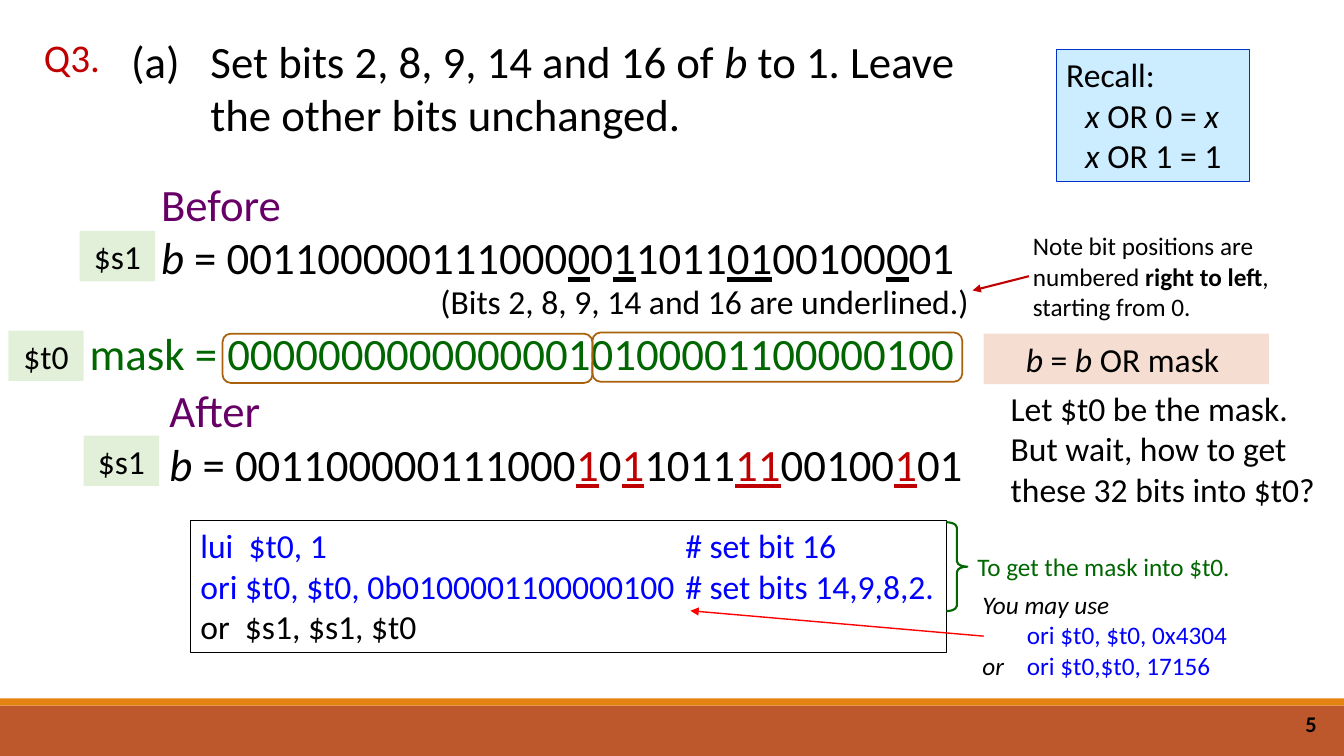
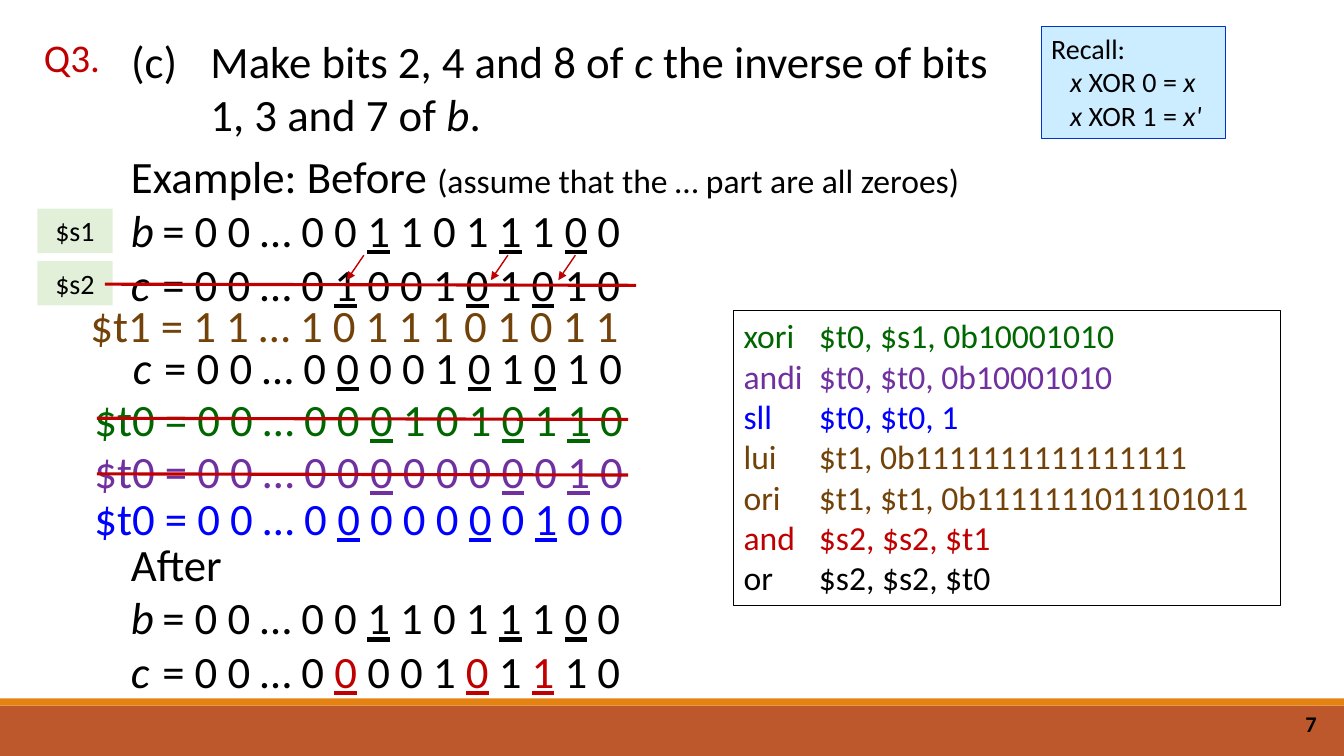
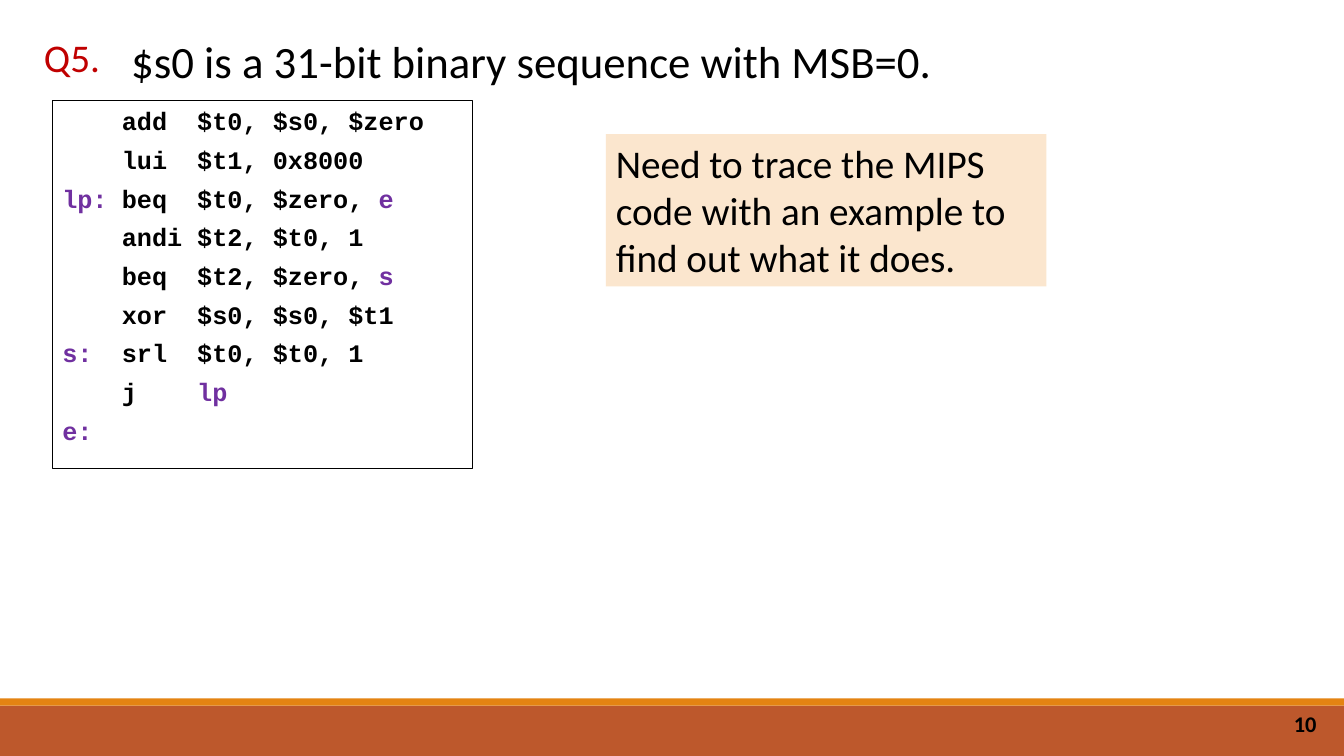
import lxml.etree
import pptx
import pptx.dml.color
import pptx.enum.shapes
import pptx.enum.text
import pptx.oxml.ns
import pptx.util

Cm = pptx.util.Cm
SHAPE = pptx.enum.shapes.MSO_SHAPE
ALIGN = pptx.enum.text.PP_ALIGN
ANCHOR = pptx.enum.text.MSO_ANCHOR


class Theme:
    """Colours, fonts, and the look of each kind of box."""
    colours = dict(
        black="000000", white="FFFFFF", red="C00000", bright="FF0000",
        plum="660066", purple="7030A0", green="006600", blue="0000FF",
        brown="724209", amber="A9610D", navy="0033CC", sky="CCECFF",
        mint="E2F0D9", peach="F5DDD2", cream="FBE6CE",
        footer="BD582C", stripe="E48312")
    font, mono = "Calibri", "Courier New"
    small_print = 24   # size of the text after a "|" mark
    styles = dict(
        title=dict(size=32),
        question=dict(size=28, colour="red", align="CENTER"),
        number=dict(size=16, bold=True, align="RIGHT", anchor="MIDDLE"),
        bits=dict(size=32),
        body=dict(size=24),
        note=dict(size=18, tabs=[1.12]),
        chip=dict(size=24, fill="mint", align="CENTER"),
        small_chip=dict(size=20, fill="mint", align="CENTER"),
        recall=dict(size=24, fill="sky", line="navy", tabs=[0.48]),
        small_recall=dict(size=20, fill="sky", line="navy", tabs=[0.48]),
        formula=dict(size=24, fill="peach", align="CENTER"),
        hint=dict(size=28, fill="cream"),
        code=dict(size=24, line="black"),
        mono=dict(size=18, line="black", fill="white", bold=True,
                  font=mono, after=6, tabs=[1.5, 3.4]))
    # Inline marks: font attribute to switch on, colour to apply
    marks = {"*": ("italic", None), "_": ("underline", None),
             "^": ("bold", None), "!": ("underline", "red"),
             "~": (None, "purple"), "`": (None, "blue")}


# A line of text is a string, or (colour, string). Boxes are
# (style, (left, top, width, height), lines[, tabs]), lengths in cm.
# Strokes are (start, end, colour, points, has arrowhead).
B_BITS = "*b*\t= 0 0 … 0 0 _1_ 1 0 1 _1_ 1 _0_ 0"
BITS_TAB = [0.79]

SLIDES = [
    dict(
        number="5", question="Q3.", hanging=2,
        title=((3.05, 0.71, 22.96, 3),
               "(a)\tSet bits 2, 8, 9, 14 and 16 of *b* to 1. "
               "Leave the other bits unchanged."),
        boxes=[
            ("bits", (3.81, 4.32, 24.05, 3), [
                ("plum", "Before"),
                "*b* = 001100000111000_0_0_1_1011_01_00100_0_01"]),
            ("body", (10.85, 6.96, 13.94, 1.27),
             ["(Bits 2, 8, 9, 14 and 16 are underlined.)"]),
            ("bits", (4.02, 9.53, 24.05, 3), [
                ("plum", "After"),
                "*b* = 001100000111000!1!0!1!1011!11!00100!1!01"]),
            ("bits", (2.01, 8.08, 22.5, 1.63),
             [("green", "mask = 00000000000000010100001100000100")]),
            ("formula", (24.79, 8.41, 7.19, 1.27), ["*b* = *b* OR mask "]),
            ("body", (25.22, 9.65, 8.64, 3.33), [
                "Let $t0 be the mask.",
                "But wait, how to get these 32 bits into $t0?"]),
            ("code", (4.8, 13.11, 19.05, 3.33), [
                ("blue", "lui  $t0, 1\t# set bit 16"),
                ("blue", "ori $t0, $t0, 0b0100001100000100\t"
                         "# set bits 14,9,8,2."),
                "or  $s1, $s1, $t0"], [12.22]),
            ("note", (24.38, 13.77, 7.11, 1.02),
             [("green", "To get the mask into $t0.")]),
            ("recall", (26.62, 1.24, 4.88, 3.33),
             ["Recall:", "\t*x* OR 0 = *x*", "\t*x* OR 1 = 1"]),
            ("note", (25.78, 5.69, 6.65, 2.57), [
                "Note bit positions are numbered ^right to left^, "
                "starting from 0."]),
            ("chip", (2.01, 5.82, 1.9, 1.27), ["$s1"]),
            ("chip", (2.11, 10.98, 1.9, 1.27), ["$s1"]),
            ("chip", (0.21, 8.33, 1.9, 1.27), ["$t0"]),
            ("note", (24.51, 14.73, 8.41, 2.57), [
                "*You may use*", ("blue", "\tori $t0, $t0, 0x4304"),
                "*or*\t`ori $t0,$t0, 17156`"])],
        outlines=[
            ("RIGHT_BRACE", (23.85, 13.16, 0.53, 2.24), "green", 1.5),
            ("ROUNDED_RECTANGLE", (5.61, 8.41, 9.32, 1.24), "amber", 1.25),
            ("ROUNDED_RECTANGLE", (14.93, 8.38, 9.32, 1.24), "amber", 1.25)],
        strokes=[((25.93, 6.96), (24.51, 7.32), "red", 1.5, True),
                 ((24.79, 16.03), (17.4, 15.39), "bright", 1, True)]),
    dict(
        number="7", question="Q3.", hanging=2,
        title=((3.05, 0.71, 22.25, 3),
               "(c)\tMake bits 2, 4 and 8 of *c* the inverse of bits "
               "1, 3 and 7 of *b*."),
        boxes=[
            ("small_chip", (0.94, 5.26, 1.9, 1.12), ["$s1"]),
            ("small_chip", (0.94, 6.58, 1.9, 1.12), ["$s2"]),
            ("bits", (3.05, 3.63, 23.6, 4.37), [
                "Example: Before |(assume that the … part are all zeroes)",
                B_BITS, "*c*\t= 0 0 … 0 _1_ 0 0 1 _0_ 1 _0_ 1 0"], BITS_TAB),
            ("bits", (3.05, 13.39, 14.2, 4.37), [
                "After", B_BITS,
                "*c*\t= 0 0 … 0 !0! 0 0 1 !0! 1 !1! 1 0"], BITS_TAB),
            ("small_recall", (26.24, 0.66, 4.65, 2.82),
             ["Recall:", "\t*x* XOR 0 = *x*", "\t*x* XOR 1 = *x'*"]),
            ("code", (18.49, 7.82, 13.79, 7.44), [
                ("green", "xori\t$t0, $s1, 0b10001010"),
                ("purple", "andi\t$t0, $t0, 0b10001010"),
                ("blue", "sll\t$t0, $t0, 1"),
                ("brown", "lui\t$t1, 0b1111111111111111"),
                ("brown", "ori\t$t1, $t1, 0b1111111011101011"),
                ("red", "and\t$s2, $s2, $t1"),
                "or\t$s2, $s2, $t0"], [1.9]),
            ("bits", (2.03, 7.37, 14.6, 1.63),
             [("brown", "$t1 = 1 1 … 1 0 1 1 1 0 1 0 1 1")]),
            ("bits", (3.1, 8.43, 14.43, 1.63),
             ["*c*\t= 0 0 … 0 _0_ 0 0 1 _0_ 1 _0_ 1 0"], BITS_TAB),
            ("bits", (2.13, 9.75, 14.43, 1.63),
             [("green", "$t0 = 0 0 … 0 0 _0_ 1 0 1 _0_ 1 _1_ 0")]),
            ("bits", (2.13, 11.05, 14.43, 1.63),
             [("purple", "$t0 = 0 0 … 0 0 _0_ 0 0 0 _0_ 0 _1_ 0")]),
            ("bits", (2.13, 12.24, 14.43, 1.63),
             [("blue", "$t0 = 0 0 … 0 _0_ 0 0 0 _0_ 0 _1_ 0 0")])],
        strokes=[((x, 6.43), (x - 0.43, 7.06), "red", 1, True)
                 for x in (14.5, 12.8, 9.17)]
        + [((x, y), (x + 13.39, y + 0.03), "red", 2.25, False)
           for x, y in ((2.64, 7.16), (2.44, 10.54), (2.44, 11.94))]),
    dict(
        number="10", question="Q5.",
        title=((3.05, 0.71, 30.28, 1.63),
               "$s0 is a 31-bit binary sequence with MSB=0."),
        boxes=[
            ("hint", (15.27, 3.38, 11.1, 3.84), [
                "Need to trace the MIPS code with an example to find out "
                "what it does."]),
            ("mono", (1.32, 2.54, 10.59, 9.27), [
                "\tadd\t$t0, $s0, $zero",
                "\tlui\t$t1, 0x8000",
                "~lp:~\tbeq\t$t0, $zero, ~e~",
                "\tandi\t$t2, $t0, 1",
                "\tbeq\t$t2, $zero, ~s~",
                "\txor\t$s0, $s0, $t1",
                "~s:~\tsrl\t$t0, $t0, 1",
                "\tj\t~lp~",
                "~e:~"])]),
]
BANDS = [((0, 17.78, 33.87, 1.27), "footer"), ((0, 17.6, 33.87, 0.18), "stripe")]
QUESTION_AT = (0.56, 0.71, 2.51, 1.45)
NUMBER_AT = (25.81, 17.73, 7.62, 1.02)


def rgb(name):
    """Look up a theme colour."""
    return pptx.dml.color.RGBColor.from_string(Theme.colours[name])


def add_xml(parent, tag, **attributes):
    """Append a DrawingML element."""
    return lxml.etree.SubElement(parent, pptx.oxml.ns.qn("a:" + tag), attributes)


def add_runs(p, text):
    """Split marked text into runs; each mark switches its format on or off."""
    active, small, piece = set(), False, ""

    def flush():
        if not piece:
            return
        r = p.add_run()
        r.text = piece
        if small:
            r.font.size = pptx.util.Pt(Theme.small_print)
        for mark in active:
            attribute, colour = Theme.marks[mark]
            if attribute:
                setattr(r.font, attribute, True)
            if colour:
                r.font.color.rgb = rgb(colour)

    for char in text:
        if char in Theme.marks or char == "|":
            flush()
            piece = ""
            if char == "|":
                small = True
            else:
                active ^= {char}
        else:
            piece += char
    flush()


def write(shape, style, lines, tabs=None, hanging=None):
    """Fill a shape with lines of marked text in a theme style."""
    look = Theme.styles[style]
    tabs = tabs or look.get("tabs")
    tf = shape.text_frame
    tf.word_wrap = True
    tf.auto_size = pptx.enum.text.MSO_AUTO_SIZE.NONE
    tf.vertical_anchor = ANCHOR[look.get("anchor", "TOP")]
    for i, line in enumerate(lines):
        colour, text = (look.get("colour", "black"), line) \
            if isinstance(line, str) else line
        p = tf.paragraphs[0] if i == 0 else tf.add_paragraph()
        pPr = p._p.get_or_add_pPr()
        # An explicit indent cancels tab stops, so set it only where needed
        if hanging:
            pPr.set("marL", str(Cm(hanging)))
            pPr.set("indent", str(-Cm(hanging)))
        if tabs:
            tab_list = add_xml(pPr, "tabLst")
            for stop in tabs:
                add_xml(tab_list, "tab", pos=str(Cm(stop)), algn="l")
        p.alignment = ALIGN[look.get("align", "LEFT")]
        p.space_after = pptx.util.Pt(look.get("after", 0))
        p.font.name = look.get("font", Theme.font)
        p.font.size = pptx.util.Pt(look["size"])
        p.font.bold = look.get("bold", False)
        p.font.color.rgb = rgb(colour)
        add_runs(p, text)


def add_preset(s, kind, at, fill=None, line=None, points=0.75):
    """Add a flat preset shape; a missing colour means none."""
    shape = s.shapes.add_shape(SHAPE[kind], *map(Cm, at))
    shape.shadow.inherit = False
    if fill:
        shape.fill.solid()
        shape.fill.fore_color.rgb = rgb(fill)
    else:
        shape.fill.background()
    if line:
        shape.line.color.rgb = rgb(line)
        shape.line.width = pptx.util.Pt(points)
    else:
        shape.line.fill.background()
    return shape


def add_box(s, style, at, lines, tabs=None):
    """Add a text box, or a rectangle where the style has a fill or line."""
    look = Theme.styles[style]
    fill, line = look.get("fill"), look.get("line")
    if fill or line:
        sp = add_preset(s, "RECTANGLE", at, fill, line)
    else:
        sp = s.shapes.add_textbox(*map(Cm, at))
    write(sp, style, lines, tabs)


def add_stroke(s, start, end, colour, points, arrow):
    """Add a straight line, with an arrowhead at its end if asked."""
    line = s.shapes.add_connector(
        pptx.enum.shapes.MSO_CONNECTOR.STRAIGHT, *map(Cm, start + end))
    line.line.color.rgb = rgb(colour)
    line.line.width = pptx.util.Pt(points)
    if arrow:
        add_xml(line.line._get_or_add_ln(), "tailEnd", type="triangle")
    add_xml(line.element.spPr, "effectLst")


def add_bands(s, layout):
    """Draw the footer bands and hand them to the shared layout."""
    for i, (at, colour) in enumerate(BANDS):
        band = add_preset(s, "RECTANGLE", at, fill=colour)
        layout.shapes.element.insert(2 + i, band.element)


def build_slide(s, content):
    """Fill one slide from its content."""
    at, heading = content["title"]
    title = s.shapes.title
    title.left, title.top, title.width, title.height = map(Cm, at)
    write(title, "title", [heading], hanging=content.get("hanging"))

    add_box(s, "question", QUESTION_AT, [content["question"]])
    add_box(s, "number", NUMBER_AT, [content["number"]])
    for box in content["boxes"]:
        add_box(s, *box)
    for kind, at, colour, points in content.get("outlines", []):
        outline = add_preset(s, kind, at, line=colour, points=points)
        if kind == "RIGHT_BRACE":
            outline.adjustments[0] = 0.25
    for stroke in content.get("strokes", []):
        add_stroke(s, *stroke)


prs = pptx.Presentation()
prs.slide_width, prs.slide_height = Cm(33.87), Cm(19.05)
layout = prs.slide_layouts.get_by_name("Title Only")
for content in SLIDES:
    s = prs.slides.add_slide(layout)
    if content is SLIDES[0]:
        add_bands(s, layout)
    build_slide(s, content)
prs.save("out.pptx")
